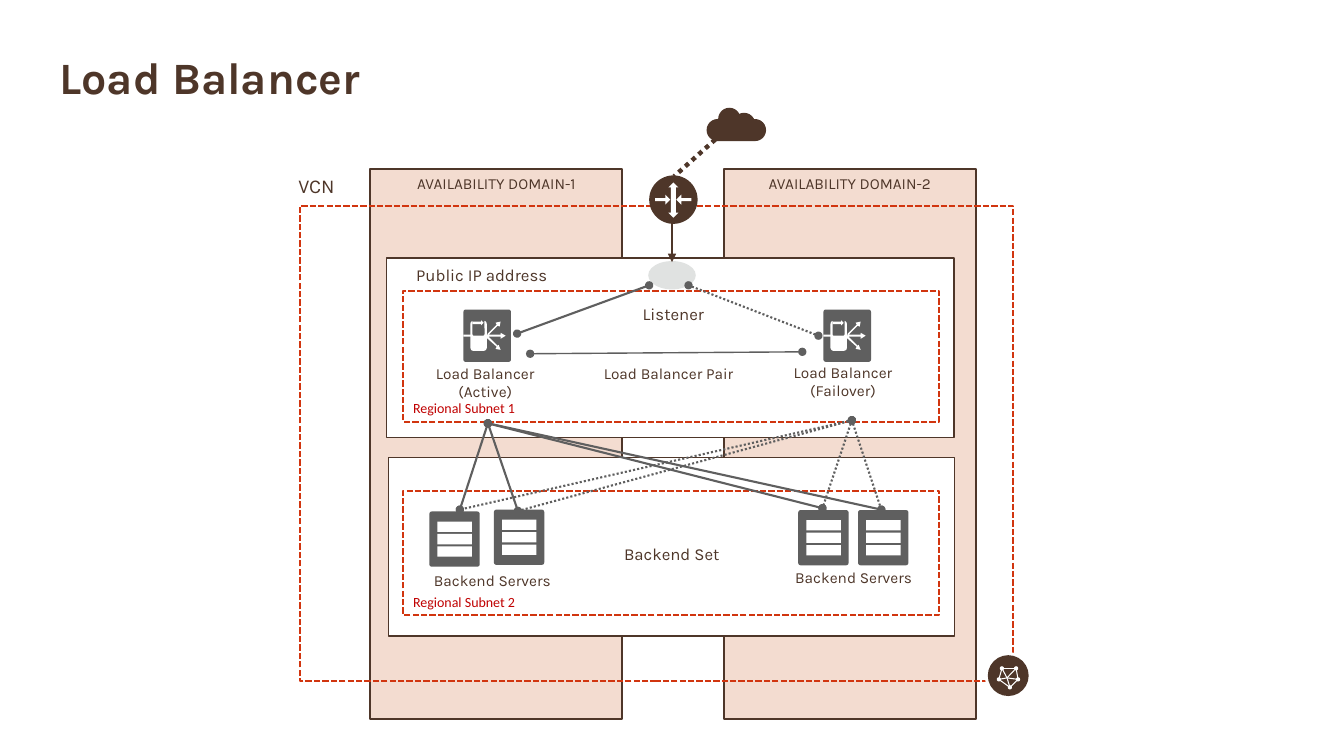
from lxml import etree
from pptx import Presentation
from pptx.dml.color import RGBColor
from pptx.enum.dml import MSO_LINE
from pptx.enum.shapes import MSO_CONNECTOR, MSO_SHAPE
from pptx.enum.text import MSO_ANCHOR, MSO_AUTO_SIZE, PP_ALIGN
from pptx.oxml.ns import qn
from pptx.util import Pt

BROWN = RGBColor(0x4E, 0x36, 0x29)
PEACH = RGBColor(0xF3, 0xDC, 0xD0)
ORANGE = RGBColor(0xD1, 0x35, 0x0F)
RED = RGBColor(0xC0, 0x00, 0x00)
GRAY = RGBColor(0x5F, 0x5F, 0x5F)
PALE = RGBColor(0xE0, 0xE2, 0xE1)
WHITE = RGBColor(0xFF, 0xFF, 0xFF)

RECT, ROUND, OVAL = MSO_SHAPE.RECTANGLE, MSO_SHAPE.ROUNDED_RECTANGLE, MSO_SHAPE.OVAL
RIGHT, LEFT = MSO_SHAPE.RIGHT_ARROW, MSO_SHAPE.LEFT_ARROW
UP_DOWN = MSO_SHAPE.UP_DOWN_ARROW
STRAIGHT = MSO_CONNECTOR.STRAIGHT
DASH, DOT = MSO_LINE.SQUARE_DOT, MSO_LINE.ROUND_DOT
TOP, MIDDLE, BOTTOM = MSO_ANCHOR.TOP, MSO_ANCHOR.MIDDLE, MSO_ANCHOR.BOTTOM
CENTER, START = PP_ALIGN.CENTER, PP_ALIGN.LEFT
GROW, FIXED = MSO_AUTO_SIZE.SHAPE_TO_FIT_TEXT, MSO_AUTO_SIZE.NONE

# Outline of the three arrows that fan out of the balancer icon
FAN = [(16.6, 20.2), (23.8, 26.6), (23, 28.1), (26.6, 28.8), (25.2, 25.2),
       (24.5, 25.9), (18, 19.4), (26.6, 19.4), (26.6, 20.9), (30.2, 18.7),
       (26.6, 16.6), (26.6, 18), (18, 18), (24.5, 11.5), (25.9, 12.2),
       (26.6, 8.6), (23, 9.4), (23.8, 10.8), (17.3, 17.3)]


def paint(shape, fill, line=None, width=1.5, dash=None):
    shape.shadow.inherit = False
    if fill is None:
        shape.fill.background()
    else:
        shape.fill.solid()
        shape.fill.fore_color.rgb = fill
    if line is None:
        shape.line.fill.background()
    else:
        shape.line.color.rgb = line
        shape.line.width = Pt(width)
        if dash:
            shape.line.dash_style = dash


def add_block(slide, kind, box, fill, corner=None, **line):
    block = slide.shapes.add_shape(kind, *map(Pt, box))
    if corner is not None:
        block.adjustments[0] = corner
    paint(block, fill, **line)
    return block


def write(shape, text, size, color=BROWN, font="Karla", align=CENTER, anchor=TOP, bold=False):
    frame = shape.text_frame
    frame.text = text
    frame.word_wrap = True
    frame.vertical_anchor = anchor
    for paragraph in frame.paragraphs:
        paragraph.alignment = align
        for run in paragraph.runs:
            run.font.name, run.font.size = font, Pt(size)
            run.font.color.rgb, run.font.bold = color, bold


def add_label(slide, text, box, size, align=CENTER):
    label = slide.shapes.add_textbox(*map(Pt, box))
    write(label, text, size, align=align)
    label.text_frame.auto_size = GROW


def add_link(slide, start, end, color=GRAY, width=1.5, dash=None, head="oval", tail="oval"):
    link = slide.shapes.add_connector(STRAIGHT, *map(Pt, start + end))
    link.line.color.rgb = color
    link.line.width = Pt(width)
    if dash:
        link.line.dash_style = dash
    line_xml = link.line._get_or_add_ln()
    for tag, ending in (("a:headEnd", head), ("a:tailEnd", tail)):
        if ending:
            etree.SubElement(line_xml, qn(tag)).set("type", ending)
    etree.SubElement(link._element.spPr, qn("a:effectLst"))


def add_subnet(slide, name, box):
    subnet = add_block(slide, RECT, box, None, line=ORANGE, dash=DASH)
    write(subnet, name, 10, RED, "Calibri", START, BOTTOM)


def add_server(slide, x, y):
    add_block(slide, ROUND, (x, y, 36, 39.5), GRAY, 0.05)
    for row in range(3):
        add_block(slide, RECT, (x + 5.8, y + 7.2 + 8.9 * row, 24.6, 7.4), WHITE)


def add_balancer(slide, x, y):
    add_block(slide, ROUND, (x, y, 34, 37.4), GRAY, 0.05)
    add_block(slide, RECT, (x, y + 18, 5.5, 1.4), WHITE)
    add_block(slide, ROUND, (x + 5, y + 8, 11.8, 21.6), WHITE, 0.2)
    add_block(slide, ROUND, (x + 6.5, y + 0.7, 8.6, 18), GRAY, 0.15)
    add_block(slide, RIGHT, (x + 6.5, y + 7.7, 8, 3.6), WHITE)
    points = [(Pt(x + dx), Pt(y + dy)) for dx, dy in FAN]
    fan = slide.shapes.build_freeform(*points[0])
    fan.add_line_segments(points[1:])
    paint(fan.convert_to_shape(), WHITE)


def add_cloud(slide):
    add_block(slide, ROUND, (504.7, 85, 42.5, 15.8), BROWN, 0.5)
    for x, y in ((513, 77), (523.5, 80.6)):
        add_block(slide, OVAL, (x, y, 16, 16), BROWN)


def add_router(slide):
    add_block(slide, OVAL, (463.7, 125.3, 34.6, 34.6), BROWN)
    add_block(slide, RIGHT, (468, 139, 10.8, 7.2), WHITE, 0.3)
    add_block(slide, LEFT, (483.1, 139, 10.8, 7.2), WHITE, 0.3)
    add_block(slide, UP_DOWN, (477.4, 130.3, 7.2, 25.2), WHITE, 0.3)


def add_network_icon(slide):
    add_block(slide, OVAL, (703.4, 465.8, 33.1, 33.1), WHITE)
    add_block(slide, OVAL, (705.6, 468, 29.2, 29.2), BROWN)
    hub = (719.3, 484.2)
    nodes = [(715.7, 477.4), (725.8, 477.4), (727.2, 485.3), (721.4, 491), (713.5, 485.3)]
    for node, neighbour in zip(nodes, nodes[1:] + nodes[:1]):
        for target in (neighbour, hub):
            add_link(slide, node, target, WHITE, 0.75, head=None, tail=None)
    for x, y in nodes:
        add_block(slide, OVAL, (x - 1.5, y - 1.5, 3, 3), WHITE)


def main():
    prs = Presentation()
    prs.slide_width, prs.slide_height = Pt(960), Pt(540)
    slide = prs.slides.add_slide(prs.slide_layouts[5])

    # Title
    title = slide.shapes.title
    title.left, title.top, title.width, title.height = map(Pt, (42.5, 11.5, 778.3, 66.2))
    write(title, "Load Balancer", 32, align=START, anchor=BOTTOM, bold=True)
    title.text_frame.auto_size = FIXED
    title.text_frame.margin_left = title.text_frame.margin_right = 0
    title.text_frame.paragraphs[0].line_spacing = 0.9

    # Availability domains and cloud network
    for number, x in enumerate((264.6, 517.1), 1):
        domain = add_block(slide, RECT, (x, 121, 180, 392.4), PEACH, line=BROWN)
        write(domain, f"AVAILABILITY DOMAIN-{number}", 11)
    add_block(slide, RECT, (214.6, 146.9, 509, 339.8), None, line=ORANGE, dash=DASH)
    add_network_icon(slide)
    add_label(slide, "VCN", (206, 121, 56.9, 24.5), 14, START)

    # Internet access
    add_cloud(slide)
    add_link(slide, (511, 99.6), (481.5, 126), BROWN, 3.2, DOT, None, None)
    add_router(slide)

    # Backend set
    add_block(slide, RECT, (277.4, 327, 404.6, 127.4), WHITE, line=BROWN, width=1)
    add_subnet(slide, "Regional Subnet 2", (288, 350.6, 383, 88.6))
    add_label(slide, "Backend Set", (432, 385.2, 95.8, 21.6), 12)
    add_label(slide, "Backend Servers", (287.3, 404.6, 128.9, 20.9), 11)
    add_label(slide, "Backend Servers", (552.2, 402.5, 115.2, 20.9), 11)
    for x, y in ((306.7, 365.3), (352.8, 364), (570.2, 364.3), (612.9, 364.3)):
        add_server(slide, x, y)

    # Load balancer pair
    add_block(slide, RECT, (276.1, 184.3, 405.4, 128.2), WHITE, line=BROWN, width=1)
    add_subnet(slide, "Regional Subnet 1", (288, 207.6, 382.6, 93.6))
    for x in (331, 588.2):
        add_balancer(slide, x, 221.1)
    add_block(slide, OVAL, (463, 186.5, 34, 20.2), PALE)
    add_label(slide, "Load Balancer\n(Active)", (300.2, 256.3, 92.9, 33.8), 11)
    add_label(slide, "Load Balancer (Failover)", (555.8, 255.6, 92.9, 33.8), 11)
    add_label(slide, "Listener", (445, 213.1, 72, 21.6), 12)
    add_label(slide, "Public IP address", (284.4, 185.8, 119.5, 21.6), 12)
    pair = add_block(slide, RECT, (424, 257.8, 107.3, 19.4), WHITE)
    write(pair, "Load Balancer Pair", 11, anchor=MIDDLE)
    frame = pair.text_frame
    frame.word_wrap = False
    frame.margin_left = frame.margin_right = frame.margin_top = frame.margin_bottom = 0
    frame.paragraphs[0].line_spacing = 0.9

    # Traffic from the router and the listener
    add_link(slide, (480, 158.4), (480, 187.2), BROWN, head=None, tail="triangle")
    add_link(slide, (369.4, 238.3), (463.7, 203.8))
    add_link(slide, (491.8, 203.8), (584.6, 239.8), dash=DOT)
    add_link(slide, (378.7, 252.7), (573.1, 251.3), width=1)

    # Traffic from each balancer to every server
    servers = [(328.5, 364), (370, 365), (587.5, 363), (629.5, 364)]
    for balancer, dash in (((348.5, 302.4), None), ((608.5, 300.2), DOT)):
        for server in servers:
            add_link(slide, balancer, server, dash=dash)

    prs.save("out.pptx")


if __name__ == "__main__":
    main()
